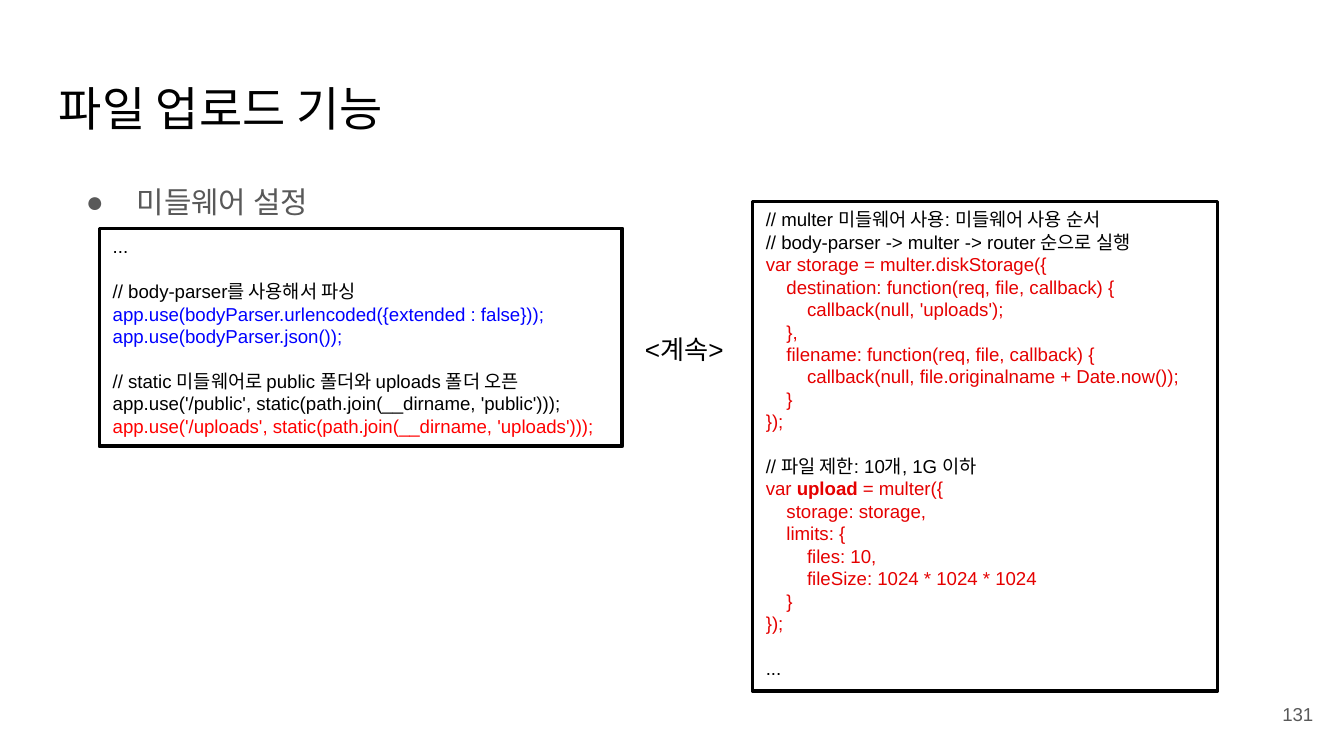
from dataclasses import dataclass

from lxml import etree
from pptx import Presentation
from pptx.dml.color import RGBColor
from pptx.enum.shapes import MSO_SHAPE
from pptx.enum.text import MSO_ANCHOR, PP_ALIGN
from pptx.oxml.ns import qn
from pptx.util import Inches, Pt

RECTANGLE = MSO_SHAPE.RECTANGLE
TOP, MIDDLE = MSO_ANCHOR.TOP, MSO_ANCHOR.MIDDLE
LEFT, RIGHT = PP_ALIGN.LEFT, PP_ALIGN.RIGHT


@dataclass(frozen=True)
class Theme:
    font: str = "Arial"
    black: str = "000000"
    white: str = "FFFFFF"
    gray: str = "595959"
    blue: str = "0000FF"
    bright_red: str = "FF0000"
    red: str = "E50000"
    title_size: float = 25.2
    body_size: float = 16
    caption_size: float = 14
    code_size: float = 10
    code_gap: float = 12
    border_width: float = 2


THEME = Theme()


@dataclass(frozen=True)
class Box:
    left: float
    top: float
    width: float
    height: float

    def lengths(self) -> list[Inches]:
        return [Inches(n) for n in (self.left, self.top, self.width, self.height)]


@dataclass(frozen=True)
class CodeBlock:
    text: str
    color: str = THEME.black
    gap_before: bool = False
    bold_word: str = ""


STATIC_CODE = [
    CodeBlock("..."),
    CodeBlock("// body-parser를 사용해서 파싱", gap_before=True),
    CodeBlock(
        """app.use(bodyParser.urlencoded({extended : false}));
app.use(bodyParser.json());""",
        THEME.blue,
    ),
    CodeBlock("// static 미들웨어로 public 폴더와 uploads 폴더 오픈", gap_before=True),
    CodeBlock("app.use('/public', static(path.join(__dirname, 'public')));"),
    CodeBlock(
        "app.use('/uploads', static(path.join(__dirname, 'uploads')));",
        THEME.bright_red,
    ),
]

MULTER_CODE = [
    CodeBlock("""// multer 미들웨어 사용: 미들웨어 사용 순서
// body-parser -> multer -> router 순으로 실행"""),
    CodeBlock(
        """var storage = multer.diskStorage({
    destination: function(req, file, callback) {
        callback(null, 'uploads');
    },
    filename: function(req, file, callback) {
        callback(null, file.originalname + Date.now());
    }
});""",
        THEME.red,
    ),
    CodeBlock("// 파일 제한: 10개, 1G 이하", gap_before=True),
    CodeBlock("var upload = multer({", THEME.red, bold_word=" upload"),
    CodeBlock(
        """    storage: storage,
    limits: {
        files: 10,
        fileSize: 1024 * 1024 * 1024
    }
});""",
        THEME.red,
    ),
    CodeBlock("...", gap_before=True),
]


def set_font(paragraph, size: float, color: str) -> None:
    paragraph.font.name = THEME.font
    paragraph.font.size = Pt(size)
    paragraph.font.color.rgb = RGBColor.from_string(color)


def set_frame(frame, vertical_margin: float, anchor=TOP) -> None:
    frame.word_wrap = True
    frame.vertical_anchor = anchor
    frame.margin_left = frame.margin_right = Inches(0.1)
    frame.margin_top = frame.margin_bottom = Inches(vertical_margin)


def add_bullet(paragraph, color: str) -> None:
    paragraph.line_spacing = 1.15
    properties = paragraph._p.get_or_add_pPr()
    properties.set("marL", str(Inches(0.5)))
    properties.set("indent", str(Inches(-0.38)))
    bullet_color = etree.SubElement(properties, qn("a:buClr"))
    etree.SubElement(bullet_color, qn("a:srgbClr"), val=color)
    etree.SubElement(properties, qn("a:buFont"), typeface=THEME.font)
    etree.SubElement(properties, qn("a:buChar"), char="●")


def add_label(slide, box: Box, text: str, size: float, color: str,
              alignment=LEFT, anchor=TOP, bulleted: bool = False) -> None:
    frame = slide.shapes.add_textbox(*box.lengths()).text_frame
    set_frame(frame, 0.1, anchor)
    paragraph = frame.paragraphs[0]
    paragraph.text = text
    paragraph.alignment = alignment
    if bulleted:
        add_bullet(paragraph, color)
    set_font(paragraph, size, color)


def add_panel(slide, box: Box, bordered: bool):
    shape = slide.shapes.add_shape(RECTANGLE, *box.lengths())
    shape.shadow.inherit = False
    shape.fill.solid()
    shape.fill.fore_color.rgb = RGBColor.from_string(THEME.white)
    if bordered:
        shape.line.color.rgb = RGBColor.from_string(THEME.black)
        shape.line.width = Pt(THEME.border_width)
    else:
        shape.line.fill.background()
    set_frame(shape.text_frame, 0.05)
    return shape.text_frame


def add_code(slide, box: Box, blocks: list[CodeBlock]) -> None:
    frame = add_panel(slide, box, bordered=True)
    lines = [(block, number, text) for block in blocks
             for number, text in enumerate(block.text.split("\n"))]
    for index, (block, number, text) in enumerate(lines):
        paragraph = frame.add_paragraph() if index else frame.paragraphs[0]
        paragraph.alignment = LEFT
        if block.gap_before and number == 0:
            paragraph.space_before = Pt(THEME.code_gap)
        if block.bold_word:
            for part in text.partition(block.bold_word):
                run = paragraph.add_run()
                run.text = part
                run.font.bold = part == block.bold_word
        else:
            paragraph.text = text
        set_font(paragraph, THEME.code_size, block.color)


def main() -> None:
    presentation = Presentation()
    presentation.slide_width = Inches(10)
    presentation.slide_height = Inches(10) * 9 // 16
    slide = presentation.slides.add_slide(presentation.slide_layouts[6])

    add_label(slide, Box(0.34, 0.49, 9.32, 0.63), "파일 업로드 기능",
              THEME.title_size, THEME.black)
    add_label(slide, Box(0.42, 1.23, 4.24, 0.48), "미들웨어 설정",
              THEME.body_size, THEME.gray, bulleted=True)
    add_label(slide, Box(9.27, 5.1, 0.6, 0.43), "131",
              THEME.code_size, THEME.gray, RIGHT, MIDDLE)

    add_code(slide, Box(0.74, 1.7, 3.89, 1.62), STATIC_CODE)
    add_code(slide, Box(5.6, 1.5, 3.46, 3.64), MULTER_CODE)

    caption = add_panel(slide, Box(4.7, 2.43, 0.82, 0.34), bordered=False).paragraphs[0]
    caption.text = "<계속>"
    caption.alignment = LEFT
    set_font(caption, THEME.caption_size, THEME.black)

    presentation.save("out.pptx")


if __name__ == "__main__":
    main()
